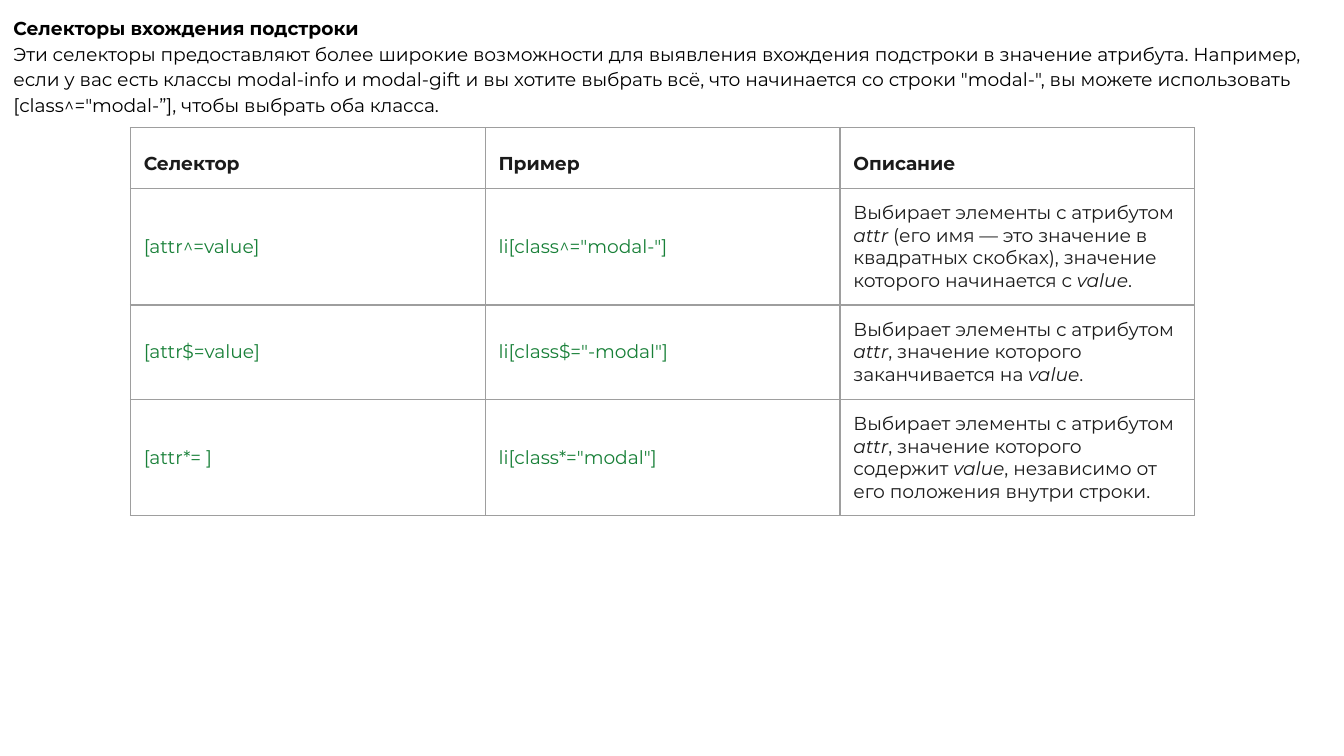
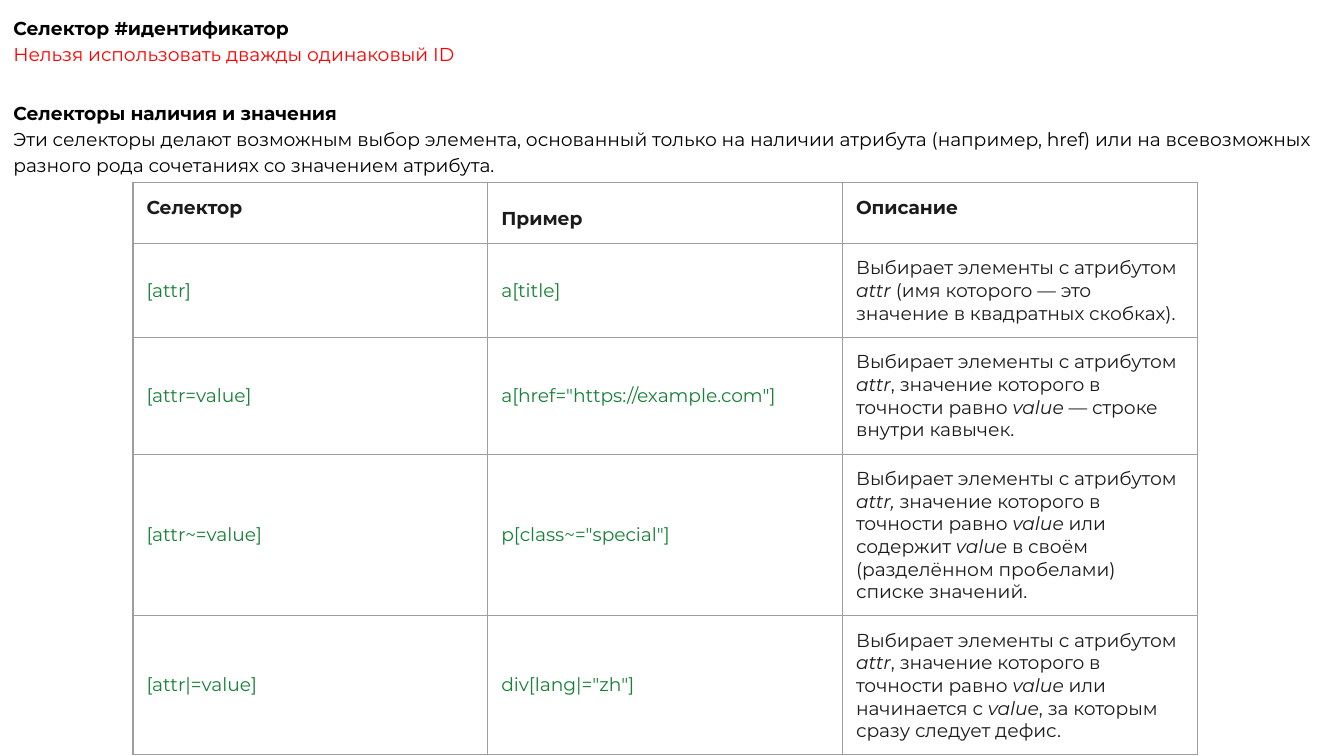
from copy import deepcopy

from pptx import Presentation
from pptx.dml.color import RGBColor
from pptx.enum import text as t
from pptx.oxml import parse_xml
from pptx.oxml.ns import nsdecls, qn
from pptx.util import Inches, Pt

COLORS = {
    "black": "000000",
    "ink": "1B1B1B",
    "code": "188038",
    "alert": "FF0000",
    "border": "9E9E9E",
}
FONT = "Montserrat"
SIZE = 10
SLIDE_W = Inches(10)
SLIDE_H = SLIDE_W * 9 // 16
MARGIN = 0.1
COL_W, ROW_H = 2.64, 0.42
HEADERS = ["Селектор", "Пример", "Описание"]
PICKS = "Выбирает элементы с атрибутом "


def add_text(p, content, color="black", bold=False, line=None, before=0, after=0):
    """Fill a paragraph; _underscores_ mark italics."""
    p.alignment = t.PP_ALIGN.LEFT
    p.space_before, p.space_after = Pt(before), Pt(after)
    if line:
        p.line_spacing = line
    for i, part in enumerate(content.split("_")):
        if not part:
            continue
        r = p.add_run()
        r.text = part
        r.font.name, r.font.size = FONT, Pt(SIZE)
        r.font.bold, r.font.italic = bold, i % 2 == 1
        r.font.color.rgb = RGBColor.from_string(COLORS[color])


def break_line(p):
    """Add a line break as tall as the text before it."""
    p.add_line_break()
    br = p._p.findall(qn("a:br"))[-1]
    br.insert(0, deepcopy(p.runs[-1]._r.rPr))


class Deck:
    def __init__(self):
        self.prs = Presentation()
        self.prs.slide_width, self.prs.slide_height = SLIDE_W, SLIDE_H
        self.s = None

    def slide(self):
        self.s = self.prs.slides.add_slide(self.prs.slide_layouts[5])

    def intro(self, height, *paragraphs):
        """Each paragraph is a list of (text, format) lines."""
        sp = self.s.shapes.title
        sp.left, sp.top, sp.width, sp.height = 0, 0, SLIDE_W, Inches(height)
        tf = sp.text_frame
        tf.word_wrap = True
        tf.auto_size = t.MSO_AUTO_SIZE.SHAPE_TO_FIT_TEXT
        tf.vertical_anchor = t.MSO_ANCHOR.TOP
        self.margins(tf)
        for i, lines in enumerate(paragraphs):
            p = tf.add_paragraph() if i else tf.paragraphs[0]
            for j, (content, style) in enumerate(lines):
                if j:
                    break_line(p)
                add_text(p, content, line=1.15, **style)

    def table(self, left, top, rows, top_headers=()):
        """Draw a selector table; top_headers lists headers set tight at the cell top."""
        cols = len(HEADERS)
        frame = self.s.shapes.add_table(
            len(rows) + 1, cols, Inches(left), Inches(top),
            Inches(COL_W * cols), Inches(ROW_H * (len(rows) + 1)))
        tbl = frame.table
        tbl.first_row = tbl.horz_banding = False
        for col in tbl.columns:
            col.width = Inches(COL_W)
        for row in tbl.rows:
            row.height = Inches(ROW_H)
        for c, header in enumerate(HEADERS):
            tight = header in top_headers
            self.cell(tbl.cell(0, c), header, top=tight, color="ink", bold=True,
                      line=1 if tight else 1.5)
        for r, row in enumerate(rows, 1):
            for c, content in enumerate(row):
                self.cell(tbl.cell(r, c), content, color="ink" if c == 2 else "code")

    def cell(self, cell, content, top=False, **style):
        self.margins(cell)
        cell.vertical_anchor = t.MSO_ANCHOR.TOP if top else t.MSO_ANCHOR.MIDDLE
        tc_pr = cell._tc.get_or_add_tcPr()
        for side in "LRTB":
            tc_pr.append(parse_xml(
                f'<a:ln{side} {nsdecls("a")} w="{Pt(0.75)}"><a:solidFill>'
                f'<a:srgbClr val="{COLORS["border"]}"/></a:solidFill></a:ln{side}>'))
        cell.fill.background()
        add_text(cell.text_frame.paragraphs[0], content, **style)

    @staticmethod
    def margins(box):
        box.margin_left = box.margin_right = Inches(MARGIN)
        box.margin_top = box.margin_bottom = Inches(MARGIN)


def substring_selectors(deck):
    spaced = {"before": 18, "after": 4}
    deck.slide()
    deck.intro(0.95, [
        ("Селекторы вхождения подстроки", {"bold": True, **spaced}),
        ("Эти селекторы предоставляют более широкие возможности для выявления "
         "вхождения подстроки в значение атрибута. Например, если у вас есть классы "
         "modal-info и modal-gift и вы хотите выбрать всё, что начинается со строки "
         '"modal-", вы можете использовать [class^="modal-”], чтобы выбрать оба класса.',
         spaced),
    ])
    deck.table(0.97, 0.95, [
        ("[attr^=value]", 'li[class^="modal-"]',
         PICKS + "_attr_ (его имя — это значение в квадратных скобках), "
         "значение которого начинается с _value_."),
        ("[attr$=value]", 'li[class$="-modal"]',
         PICKS + "_attr_, значение которого заканчивается на _value_."),
        ("[attr*= ]", 'li[class*="modal"]',
         PICKS + "_attr_, значение которого содержит _value_, "
         "независимо от его положения внутри строки."),
    ])


def presence_selectors(deck):
    spaced = {"before": 18, "after": 4}
    exact = " значение которого в точности равно _value_"
    deck.slide()
    deck.intro(
        1.4,
        [("Селектор #идентификатор", {"bold": True})],
        [("Нельзя использовать дважды одинаковый ID", {"color": "alert"})],
        [("Селекторы наличия и значения", {"bold": True, **spaced}),
         ("Эти селекторы делают возможным выбор элемента, основанный только на "
          "наличии атрибута (например, href) или на всевозможных разного рода "
          "сочетаниях со значением атрибута.", spaced)],
    )
    deck.table(0.99, 1.36, [
        ("[attr]", "a[title]",
         PICKS + "_attr_ (имя которого — это значение в квадратных скобках)."),
        ("[attr=value]", 'a[href="https://example.com"]',
         PICKS + "_attr_," + exact + " — строке внутри кавычек."),
        ("[attr~=value]", 'p[class~="special"]',
         PICKS + "_attr,_" + exact + " или содержит _value_ в своём "
         "(разделённом пробелами) списке значений."),
        ("[attr|=value]", 'div[lang|="zh"]',
         PICKS + "_attr_," + exact + " или начинается с _value_, "
         "за которым сразу следует дефис."),
    ], top_headers=("Селектор", "Описание"))


def main():
    deck = Deck()
    substring_selectors(deck)
    presence_selectors(deck)
    deck.prs.save("out.pptx")


if __name__ == "__main__":
    main()
